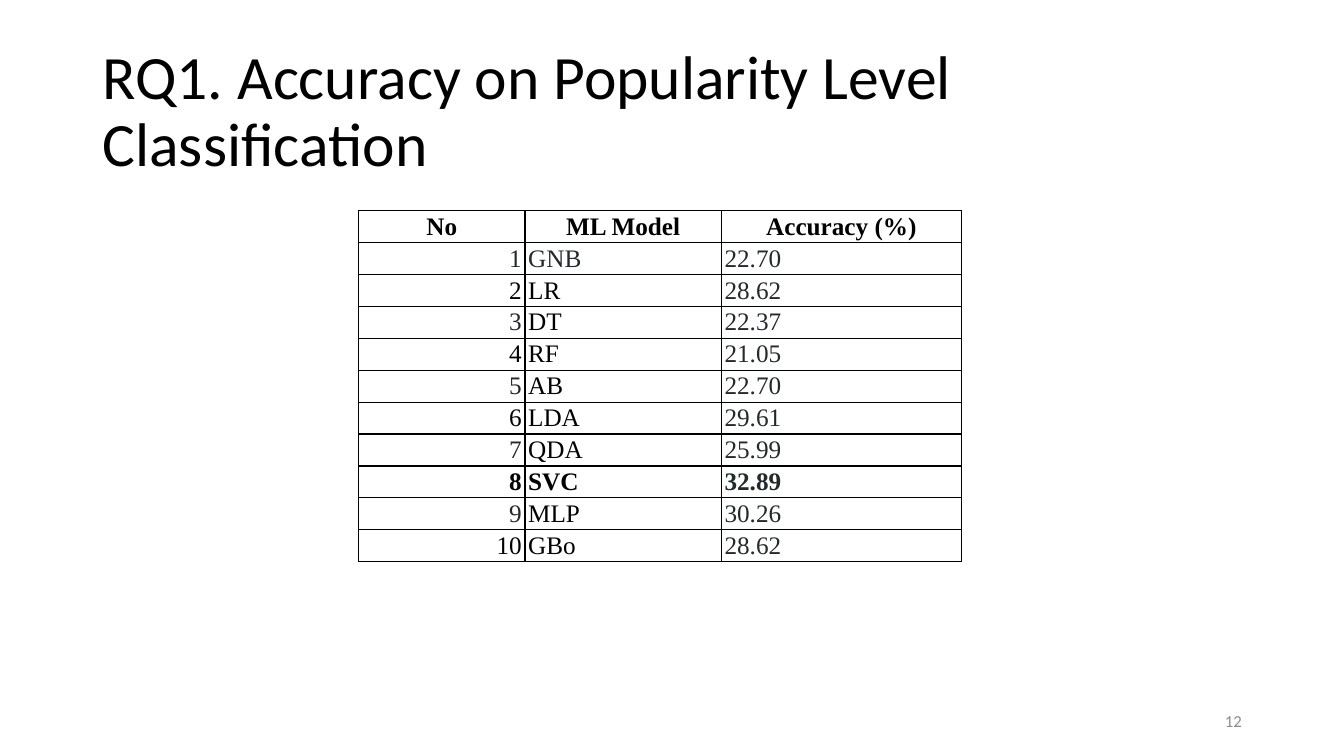
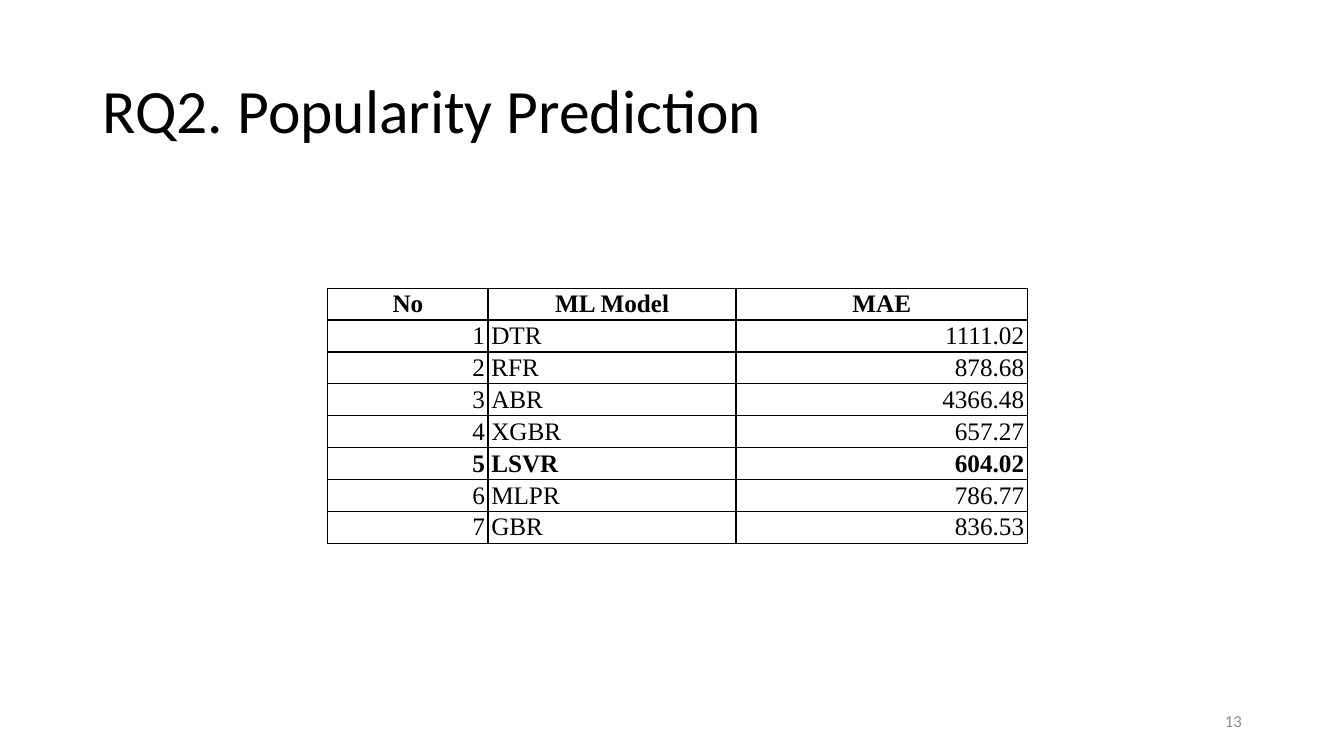
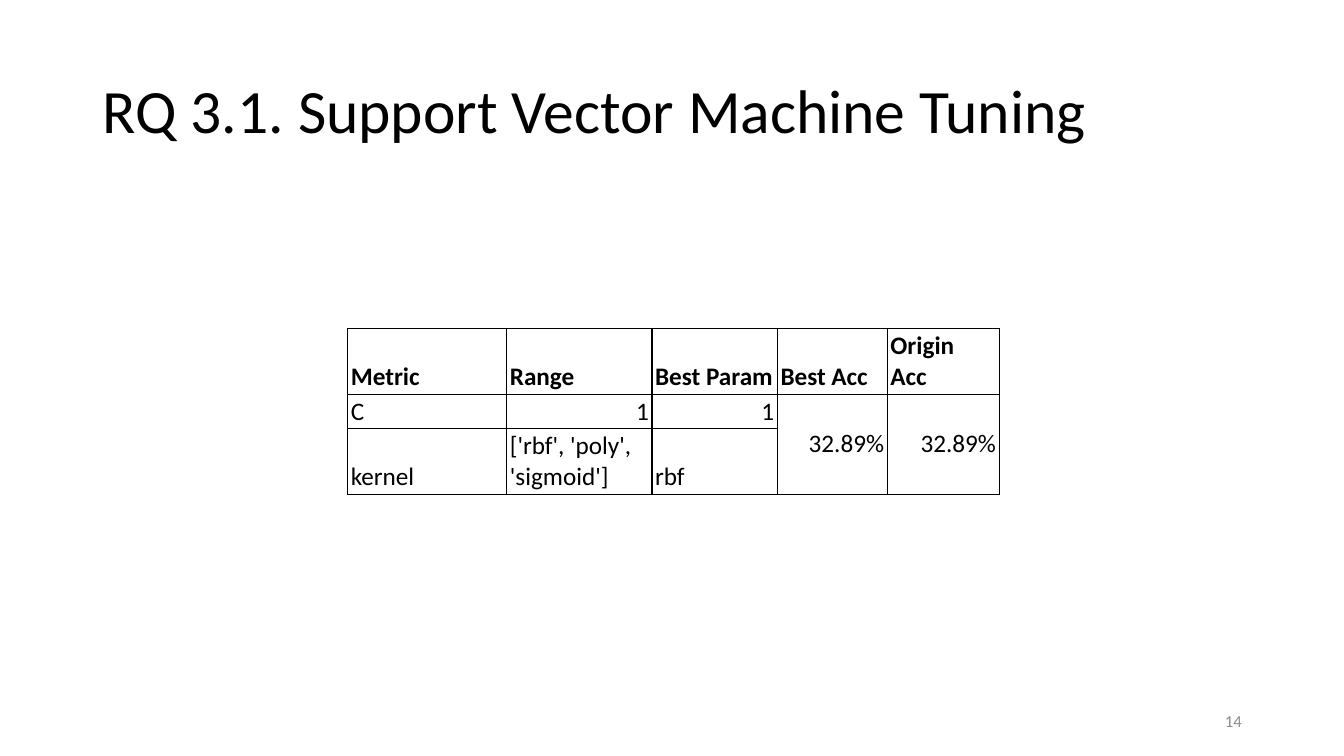
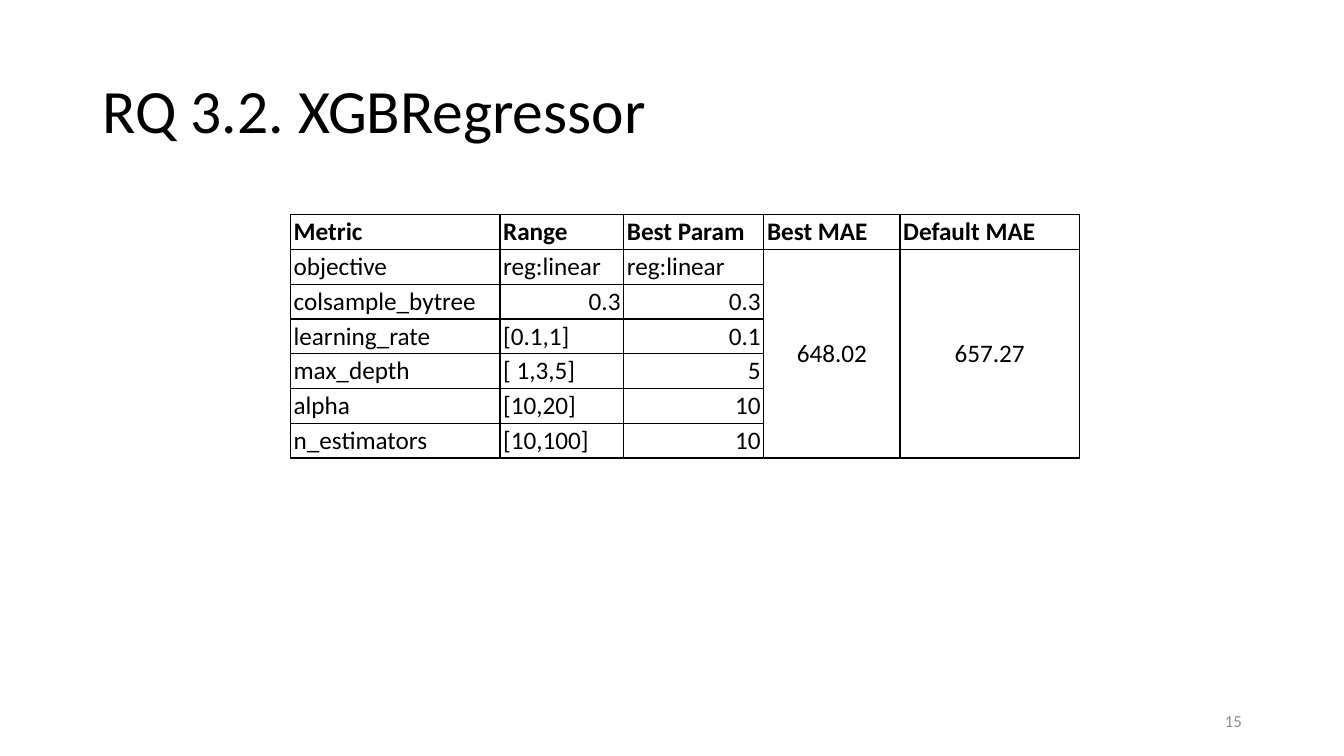
from dataclasses import dataclass, field

from lxml import etree
from pptx import Presentation
from pptx.dml import color
from pptx.enum import text
from pptx.oxml import ns
from pptx.util import Cm, Pt

BLACK, INK, GRAY, WHITE = "000000", "24292E", "8C8C8C", "FFFFFF"
SANS, SERIF = "Calibri", "Times New Roman"
LEFT, CENTER, RIGHT = text.PP_ALIGN.LEFT, text.PP_ALIGN.CENTER, text.PP_ALIGN.RIGHT
TOP, MIDDLE, BOTTOM = text.MSO_ANCHOR.TOP, text.MSO_ANCHOR.MIDDLE, text.MSO_ANCHOR.BOTTOM
TITLE_BOX = (2.33, 1.01, 29.21, 3.68)
NUMBER_BOX = (23.93, 17.65, 7.62, 1.02)
FIRST_NUMBER = 12
ROW_HEIGHT = 0.56


@dataclass
class ResultTable:
    """Content and formatting of one table of results."""
    left: float
    top: float
    height: float
    widths: list
    rows: list
    font: str = SANS
    header_align: int = LEFT
    body_anchor: int = BOTTOM
    best_row: int = 0
    merged_columns: tuple = ()
    column_aligns: dict = field(default_factory=dict)
    ink_cells: set = field(default_factory=set)


def rgb(value):
    """Turn a hex string into a colour."""
    return color.RGBColor.from_string(value)


def format_paragraph(paragraph, font, size, ink=BLACK, bold=False, align=LEFT):
    """Format a paragraph and its runs."""
    paragraph.alignment = align
    for run in paragraph.runs:
        run.font.name = font
        run.font.size = Pt(size)
        run.font.bold = bold
        run.font.color.rgb = rgb(ink)


def add_title(slide, wording, box):
    """Place the title placeholder in the box."""
    title = slide.shapes.title
    title.left, title.top, title.width, title.height = map(Cm, box)
    frame = title.text_frame
    frame.text = wording
    frame.auto_size = text.MSO_AUTO_SIZE.NONE
    frame.vertical_anchor = MIDDLE
    frame.paragraphs[0].line_spacing = 0.9
    format_paragraph(frame.paragraphs[0], SANS, 44)


def add_number(slide, number, box):
    """Place the slide number in the box."""
    frame = slide.shapes.add_textbox(*map(Cm, box)).text_frame
    frame.word_wrap = True
    frame.vertical_anchor = MIDDLE
    frame.text = str(number)
    format_paragraph(frame.paragraphs[0], SANS, 12, GRAY, align=RIGHT)


def add_borders(cell):
    """Draw a one point black line on every side of a cell."""
    properties = cell._tc.get_or_add_tcPr()
    for side in ("a:lnL", "a:lnR", "a:lnT", "a:lnB"):
        line = etree.SubElement(properties, ns.qn(side), w=str(Pt(1)))
        fill = etree.SubElement(line, ns.qn("a:solidFill"))
        etree.SubElement(fill, ns.qn("a:srgbClr"), val=BLACK)


def is_number(wording):
    """Tell whether a cell holds a plain number or percentage."""
    return wording.rstrip("%").replace(".", "").isdigit()


def fill_cell(cell, wording, result, row, column):
    """Write one cell with the format its place calls for."""
    add_borders(cell)
    cell.fill.solid()
    cell.fill.fore_color.rgb = rgb(WHITE)
    cell.margin_left = cell.margin_right = Cm(0.08)
    cell.margin_top = cell.margin_bottom = Cm(0.05)
    if row == 0:
        align, anchor = result.header_align, BOTTOM
    else:
        default = RIGHT if is_number(wording) else LEFT
        align = result.column_aligns.get(column, default)
        anchor = MIDDLE if column in result.merged_columns else result.body_anchor
    cell.vertical_anchor = anchor
    cell.text_frame.text = wording
    ink = INK if (row, column) in result.ink_cells else BLACK
    bold = row in (0, result.best_row)
    format_paragraph(cell.text_frame.paragraphs[0], result.font, 18, ink, bold, align)


def add_result_table(slide, result):
    """Place a bordered table of results."""
    count = len(result.rows)
    frame = slide.shapes.add_table(
        count, len(result.widths), Cm(result.left), Cm(result.top),
        Cm(sum(result.widths)), Cm(result.height))
    table = frame.table
    table.first_row = table.horz_banding = False
    for column, width in zip(table.columns, result.widths):
        column.width = Cm(width)
    for row in table.rows:
        row.height = Cm(ROW_HEIGHT)
    frame.height = Cm(result.height)
    for row, wordings in enumerate(result.rows):
        for column in range(len(result.widths)):
            wording = wordings[column] if column < len(wordings) else ""
            fill_cell(table.cell(row, column), wording, result, row, column)
    for column in result.merged_columns:
        table.cell(1, column).merge(table.cell(count - 1, column))


def numbered(header, scores):
    """Put a running number before each model and its score."""
    body = [(str(index), *score) for index, score in enumerate(scores, 1)]
    return [("No", "ML Model", header), *body]


ACCURACY = ResultTable(
    9.04, 5.31, 9.55, [4.19, 4.95, 6.05],
    numbered("Accuracy (%)", [
        ("GNB", "22.70"), ("LR", "28.62"), ("DT", "22.37"), ("RF", "21.05"),
        ("AB", "22.70"), ("LDA", "29.61"), ("QDA", "25.99"), ("SVC", "32.89"),
        ("MLP", "30.26"), ("GBo", "28.62")]),
    font=SERIF, header_align=CENTER, body_anchor=TOP, best_row=8,
    column_aligns={2: LEFT},
    ink_cells={(1, 1)} | {(row, 0) for row in range(1, 11, 2)}
    | {(row, 2) for row in range(1, 11)})

PREDICTION = ResultTable(
    8.26, 7.26, 6.93, [4.04, 6.25, 7.34],
    numbered("MAE", [
        ("DTR", "1111.02"), ("RFR", "878.68"), ("ABR", "4366.48"), ("XGBR", "657.27"),
        ("LSVR", "604.02"), ("MLPR", "786.77"), ("GBR", "836.53")]),
    font=SERIF, header_align=CENTER, best_row=5)

VECTOR_TUNING = ResultTable(
    8.76, 8.28, 4.11, [4.01, 3.66, 3.16, 2.77, 2.82],
    [("Metric", "Range", "Best Param", "Best Acc", "Origin Acc"),
     ("C", "1", "1", "32.89%", "32.89%"),
     ("kernel", "['rbf', 'poly', 'sigmoid']", "rbf")],
    merged_columns=(3, 4))

REGRESSOR_TUNING = ResultTable(
    7.32, 5.41, 6.07, [5.28, 3.12, 3.53, 3.43, 4.52],
    [("Metric", "Range", "Best Param", "Best MAE", "Default MAE"),
     ("objective", "reg:linear", "reg:linear", "648.02", "657.27"),
     ("colsample_bytree", "0.3", "0.3"),
     ("learning_rate", "[0.1,1]", "0.1"),
     ("max_depth", "[ 1,3,5]", "5"),
     ("alpha", "[10,20]", "10"),
     ("n_estimators", "[10,100]", "10")],
    merged_columns=(3, 4), column_aligns={3: CENTER, 4: CENTER})

SLIDES = [
    ("RQ1. Accuracy on Popularity Level Classification", ACCURACY),
    ("RQ2. Popularity Prediction", PREDICTION),
    ("RQ 3.1. Support Vector Machine Tuning", VECTOR_TUNING),
    ("RQ 3.2. XGBRegressor", REGRESSOR_TUNING),
]


def main():
    """Build and save the presentation."""
    presentation = Presentation()
    presentation.slide_width, presentation.slide_height = Cm(33.87), Cm(19.05)
    layout = presentation.slide_layouts.get_by_name("Title Only")
    for number, (title, result) in enumerate(SLIDES, FIRST_NUMBER):
        slide = presentation.slides.add_slide(layout)
        add_title(slide, title, TITLE_BOX)
        add_result_table(slide, result)
        add_number(slide, number, NUMBER_BOX)
    presentation.save("out.pptx")


if __name__ == "__main__":
    main()
